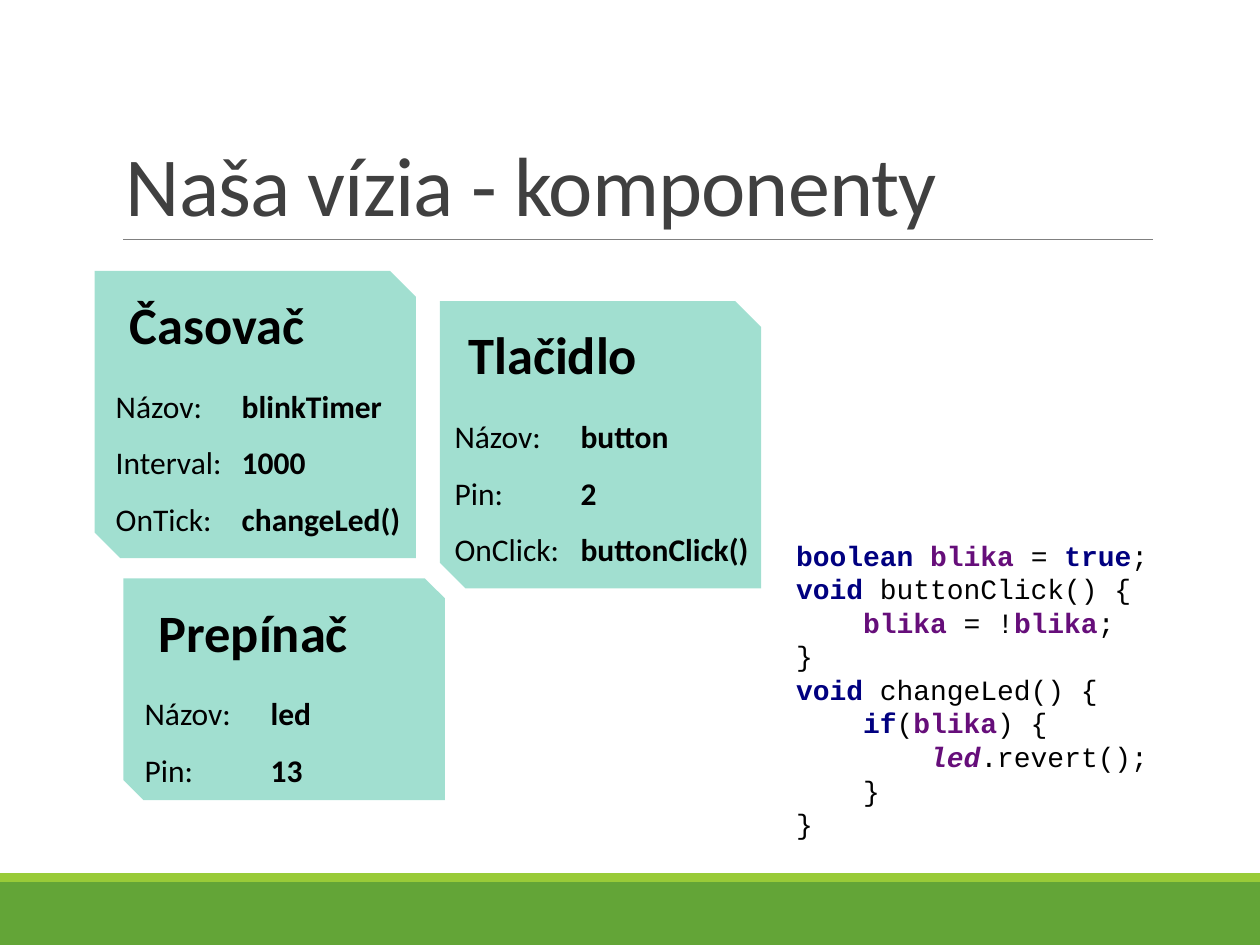
from lxml.etree import SubElement
from pptx import Presentation
from pptx.dml.color import RGBColor
from pptx.enum.shapes import MSO_CONNECTOR, MSO_SHAPE
from pptx.enum.text import MSO_ANCHOR, MSO_AUTO_SIZE, PP_ALIGN
from pptx.oxml.ns import qn
from pptx.util import Inches, Pt

GREEN = RGBColor(0x63, 0xA5, 0x37)
LIME = RGBColor(0x99, 0xCB, 0x38)
TEAL = RGBColor(0x44, 0xC1, 0xA3)
GRAY = RGBColor(0x80, 0x80, 0x80)
DARK = RGBColor(0x40, 0x40, 0x40)
BLACK = RGBColor(0, 0, 0)
WHITE = RGBColor(0xFF, 0xFF, 0xFF)
NAVY = RGBColor(0, 0, 0x80)
PURPLE = RGBColor(0x66, 0x0E, 0x7A)

PLAIN = (BLACK, False, False)
KEYWORD = (NAVY, True, False)
FIELD = (PURPLE, True, False)
OBJECT = (PURPLE, True, True)

CODE = [
    [("boolean ", KEYWORD), ("blika ", FIELD), ("= ", PLAIN), ("true", KEYWORD), (";", PLAIN)],
    [("void ", KEYWORD), ("buttonClick() {", PLAIN)],
    [("    ", PLAIN), ("blika ", FIELD), ("= !", PLAIN), ("blika", FIELD), (";", PLAIN)],
    [("}", PLAIN)],
    [("void ", KEYWORD), ("changeLed() {", PLAIN)],
    [("    ", PLAIN), ("if", KEYWORD), ("(", PLAIN), ("blika", FIELD), (") {", PLAIN)],
    [("        ", PLAIN), ("led", OBJECT), (".revert();", PLAIN)],
    [("    }", PLAIN)],
    [("}", PLAIN)],
]

CARDS = [
    ((0.75, 2.15, 2.28), (0.93, 1.6), (0.82, 2.48), "Časovač",
     [("Názov:", "blinkTimer"), ("Interval:", "1000"), ("OnTick:", "changeLed()")]),
    ((0.98, 4.59, 1.76), (1.16, 1.72), (1.05, 1.53), "Prepínač",
     [("Názov:", "led"), ("Pin:", "13")]),
    ((3.49, 2.39, 2.28), (3.62, 1.56), (3.51, 2.56), "Tlačidlo",
     [("Názov:", "button"), ("Pin:", "2"), ("OnClick:", "buttonClick()")]),
]


class Deck:
    font = "Calibri"
    code_font = "Courier New"

    def __init__(self):
        self.prs = Presentation()
        self.prs.slide_width = Inches(10)
        self.prs.slide_height = Inches(7.5)
        self.s = self.prs.slides.add_slide(self.prs.slide_layouts[6])

    def style(self, p, size, color, bold=None):
        p.font.name = self.font
        p.font.size = Pt(size)
        p.font.color.rgb = color
        p.font.bold = bold

    def shape(self, kind, x, y, w, h, color):
        sp = self.s.shapes.add_shape(kind, Inches(x), Inches(y), Inches(w), Inches(h))
        sp.shadow.inherit = False
        sp.fill.solid()
        sp.fill.fore_color.rgb = color
        sp.line.fill.background()
        return sp

    def rule(self, x1, x2, y):
        line = self.s.shapes.add_connector(
            MSO_CONNECTOR.STRAIGHT, Inches(x1), Inches(y), Inches(x2), Inches(y))
        line.line.color.rgb = GRAY
        line.line.width = Pt(0.5)
        SubElement(line._element.spPr, qn("a:effectLst"))

    def text(self, x, y, w, h):
        return self.s.shapes.add_textbox(Inches(x), Inches(y), Inches(w), Inches(h)).text_frame

    def title(self, text):
        tf = self.text(0.9, 0.31, 8.25, 1.59)
        tf.word_wrap = True
        tf.vertical_anchor = MSO_ANCHOR.BOTTOM
        p = tf.paragraphs[0]
        p.line_spacing = 0.85
        r = p.add_run()
        r.text = text
        r._r.get_or_add_rPr().set("spc", "-50")
        self.style(p, 48, DARK)

    def card(self, frame, heading, body, name, rows):
        x, y, h = frame
        sp = self.shape(MSO_SHAPE.SNIP_2_DIAG_RECTANGLE, x, y, 2.55, h, TEAL)
        sp.adjustments[0] = 0
        sp.adjustments[1] = 0.09
        color = sp._element.spPr.find(qn("a:solidFill"))[0]
        SubElement(color, qn("a:alpha"), val="50000")

        tf = self.text(heading[0], y + 0.12, heading[1], 0.61)
        tf.auto_size = MSO_AUTO_SIZE.SHAPE_TO_FIT_TEXT
        p = tf.paragraphs[0]
        p.text = name
        self.style(p, 30, BLACK, True)

        tf = self.text(body[0], y + 0.72, body[1], len(rows) * 0.5 - 0.04)
        tf.auto_size = MSO_AUTO_SIZE.SHAPE_TO_FIT_TEXT
        for i, (label, value) in enumerate(rows):
            p = tf.add_paragraph() if i else tf.paragraphs[0]
            p.line_spacing = 1.5
            tabs = SubElement(p._p.get_or_add_pPr(), qn("a:tabLst"))
            SubElement(tabs, qn("a:tab"), pos=str(Inches(1)), algn="l")
            p.add_run().text = label + "\t"
            r = p.add_run()
            r.text = value
            r.font.bold = True
            self.style(p, 18, BLACK)

    def code(self, x, y, w, h, lines):
        sp = self.shape(MSO_SHAPE.RECTANGLE, x, y, w, h, WHITE)
        tf = sp.text_frame
        tf.word_wrap = True
        tf.vertical_anchor = MSO_ANCHOR.MIDDLE
        p = tf.paragraphs[0]
        p.alignment = PP_ALIGN.LEFT
        p.font.name = self.code_font
        p.font.size = Pt(16)
        for i, line in enumerate(lines):
            if i:
                p.add_line_break()
            for text, (color, bold, italic) in line:
                r = p.add_run()
                r.text = text
                r.font.color.rgb = color
                r.font.bold = bold
                r.font.italic = italic


def main():
    deck = Deck()
    deck.shape(MSO_SHAPE.RECTANGLE, 0, 7, 10, 0.5, GREEN)
    deck.shape(MSO_SHAPE.RECTANGLE, 0, 6.93, 10, 0.07, LIME)
    deck.rule(0.98, 9.15, 1.9)
    deck.title("Naša vízia - komponenty")
    for card in CARDS:
        deck.card(*card)
    deck.code(6.22, 4.21, 3.19, 2.52, CODE)
    deck.prs.save("out.pptx")


if __name__ == "__main__":
    main()
